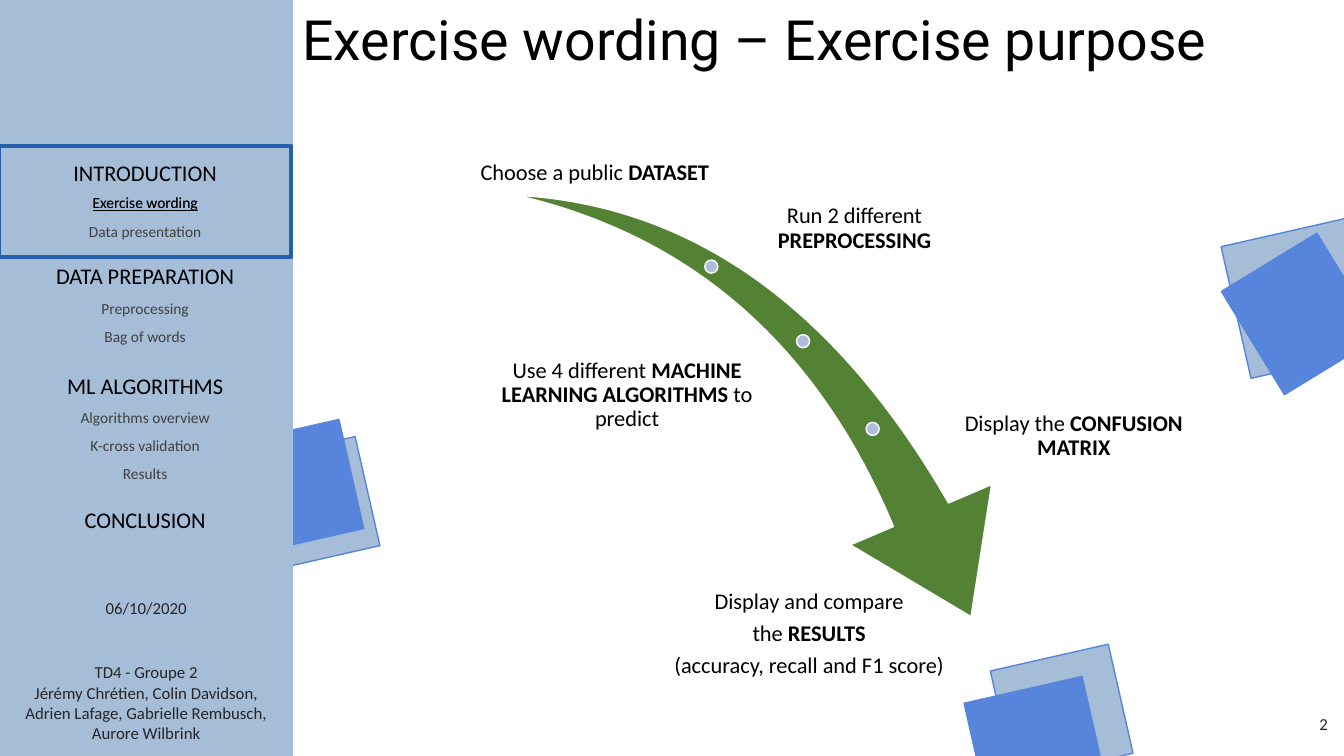
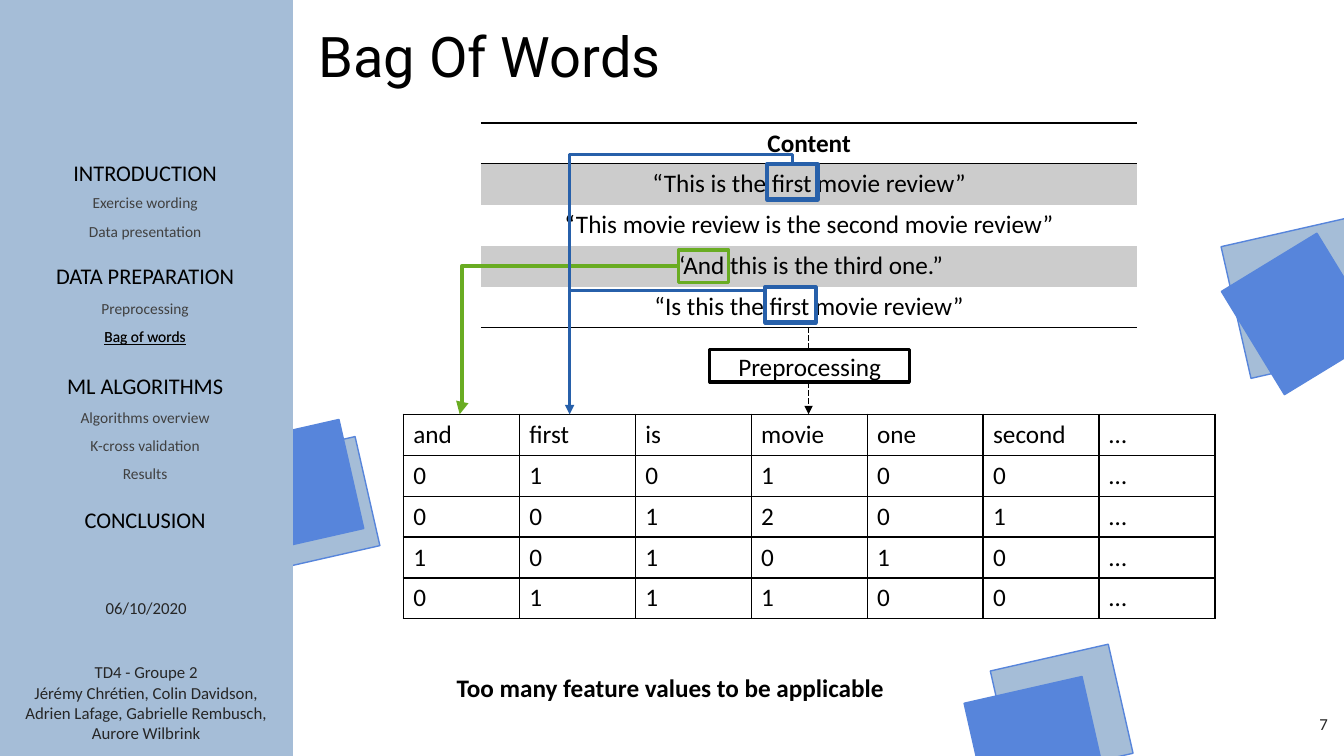
from dataclasses import dataclass

from lxml.etree import SubElement
from pptx import Presentation
from pptx.dml.color import RGBColor
from pptx.enum.dml import MSO_LINE
from pptx.enum.shapes import MSO_CONNECTOR, MSO_SHAPE
from pptx.enum.text import MSO_ANCHOR, MSO_AUTO_SIZE, PP_ALIGN
from pptx.oxml.ns import qn
from pptx.util import Emu, Inches, Pt

CELL = Inches(0.1)
TOP, LEFT = 0, 1


@dataclass(frozen=True)
class Theme:
    """Colours, fonts and type sizes of the deck."""
    black: RGBColor = RGBColor.from_string("000000")
    white: RGBColor = RGBColor.from_string("FFFFFF")
    footer_ink: RGBColor = RGBColor.from_string("262626")
    item_ink: RGBColor = RGBColor.from_string("404040")
    pale: RGBColor = RGBColor.from_string("A5BDD7")
    bright: RGBColor = RGBColor.from_string("5785DB")
    focus: RGBColor = RGBColor.from_string("2760AA")
    swoosh: RGBColor = RGBColor.from_string("548235")
    dot: RGBColor = RGBColor.from_string("B0BCDE")
    lime: RGBColor = RGBColor.from_string("69AC22")
    stripe: RGBColor = RGBColor.from_string("CCCCCC")
    title_font: str = "Roboto"
    text_font: str = "Calibri"
    title: float = 40
    long_title: float = 39.6
    body: float = 18
    section: float = 16
    footer: float = 12
    item: float = 11


THEME = Theme()


@dataclass(frozen=True)
class Box:
    """Region measured in grid columns and rows."""
    col: float
    row: float
    cols: float
    rows: float

    def sub(self, col, row, cols, rows):
        """Return a region placed relative to this one."""
        return Box(self.col + col, self.row + row, cols, rows)

    def point(self, col, row):
        """Return a slide position relative to this region."""
        return Emu(round((self.col + col) * CELL)), Emu(round((self.row + row) * CELL))

    @property
    def frame(self):
        """Return left, top, width and height as lengths."""
        return (*self.point(0, 0), Emu(round(self.cols * CELL)), Emu(round(self.rows * CELL)))


SIDEBAR = Box(0, 0, 29, 75)
SWOOSH = Box(46.5, 8.8, 73.2, 59.3)
WORD_BAG = Box(40, 12.2, 80.5, 58)

SQUARES = [
    (99.3, 65.1, 12, 11.1, 347.2, THEME.pale),
    (122.4, 22.6, 15.4, 13.4, 347.2, THEME.pale),
    (24.6, 44.5, 12, 11.1, 347.2, THEME.pale),
    (23, 42.8, 12, 11.1, 347.2, THEME.bright),
    (123, 25.6, 12, 11.1, 58.6, THEME.bright),
    (96.7, 68.3, 12, 11.1, 347.2, THEME.bright),
]
OUTLINE = [
    ("INTRODUCTION", 15.3, 18.7, ["Exercise wording", "Data presentation"]),
    ("DATA PREPARATION", 25.5, 29.2, ["Preprocessing", "Bag of words"]),
    ("ML ALGORITHMS", 36.4, 40, ["Algorithms overview", "K-cross validation", "Results"]),
    ("CONCLUSION", 49.7, 53.4, []),
]
ITEM_ROWS = {
    item: first_row + 2.8 * index
    for _, _, first_row, items in OUTLINE
    for index, item in enumerate(items)
}
AUTHORS = [
    "TD4 - Groupe 2",
    "Jérémy Chrétien, Colin Davidson, Adrien Lafage, Gabrielle Rembusch, Aurore Wilbrink",
]
STEPS = [
    ((0, 0, 25, 9.8), MSO_ANCHOR.BOTTOM, ["Choose a public *DATASET*"]),
    ((24.5, 9, 27.5, 9.8), MSO_ANCHOR.MIDDLE, ["Run 2 different *PREPROCESSING*"]),
    ((1.2, 25.5, 29, 9.8), MSO_ANCHOR.MIDDLE,
     ["Use 4 different *MACHINE LEARNING ALGORITHMS* to predict"]),
    ((46.8, 29.6, 26.4, 9.8), MSO_ANCHOR.MIDDLE, ["Display the *CONFUSION MATRIX*"]),
    ((16.9, 49.5, 33.7, 9.8), MSO_ANCHOR.TOP,
     ["Display and compare", "the *RESULTS*", "(accuracy, recall and F1 score)"]),
]
REVIEWS = [
    ["Content"],
    ["“This is the first movie review”"],
    ["“This movie review is the second movie review”"],
    ["“And this is the third one.”"],
    ["“Is this the first movie review”"],
]
WORD_COUNTS = [
    line.split()
    for line in (
        "and first is movie one second …",
        "0 1 0 1 0 0 …",
        "0 0 1 2 0 1 …",
        "1 0 1 0 1 0 …",
        "0 1 1 1 0 0 …",
    )
]


def assign(target, **values):
    """Set several attributes on one object."""
    for key, value in values.items():
        setattr(target, key, value)


def write(text_frame, lines, size, color=THEME.black, font=THEME.text_font,
          align=PP_ALIGN.CENTER, underline=None, spacing=None, frame_format=None):
    """Fill a text frame; words between asterisks are bold."""
    assign(text_frame, word_wrap=True, auto_size=MSO_AUTO_SIZE.NONE, **(frame_format or {}))
    for index, line in enumerate(lines):
        paragraph = text_frame.add_paragraph() if index else text_frame.paragraphs[0]
        assign(paragraph, alignment=align, **(spacing or {}))
        for part, words in enumerate(line.split("*")):
            if words:
                run = paragraph.add_run()
                run.text = words
                assign(run.font, size=Pt(size), name=font, bold=part % 2 == 1, underline=underline)
                run.font.color.rgb = color


def label(slide, box, lines, size, **options):
    """Add a text box in the given region."""
    write(slide.shapes.add_textbox(*box.frame).text_frame, lines, size, **options)


def block(slide, kind, box, fill=None, line=THEME.white, width=1, rotation=0):
    """Add a flat preset shape in the given region."""
    shape = slide.shapes.add_shape(kind, *box.frame)
    shape.shadow.inherit = False
    shape.rotation = rotation
    if fill is None:
        shape.fill.background()
    else:
        shape.fill.solid()
        shape.fill.fore_color.rgb = fill
    shape.line.color.rgb = line
    shape.line.width = Pt(width)
    return shape


def link(slide, kind, start, end, color, width, arrow=True, dash=None):
    """Add a connector without shadow, with an optional arrowhead."""
    connector = slide.shapes.add_connector(kind, *start, *end)
    connector.line.color.rgb = color
    assign(connector.line, width=Pt(width), dash_style=dash)
    properties = connector.element.spPr
    if arrow:
        SubElement(properties.find(qn("a:ln")), qn("a:tailEnd"), type="triangle")
    SubElement(properties, qn("a:effectLst"))
    return connector


def bend(connector, share):
    """Set where an elbow connector turns."""
    guides = connector.element.spPr.find(".//" + qn("a:avLst"))
    SubElement(guides, qn("a:gd"), name="adj1", fmla=f"val {round(share * 100000)}")


def turned_elbow(slide, box, source, start, end, color, width, share):
    """Join an elbow that leaves upwards from the top of a frame."""
    middle_col, middle_row = (start[0] + end[0]) / 2, (start[1] + end[1]) / 2
    half_cols, half_rows = abs(end[1] - start[1]) / 2, abs(end[0] - start[0]) / 2
    near = box.point(middle_col + half_cols, middle_row + half_rows)
    far = box.point(middle_col - half_cols, middle_row - half_rows)
    connector = link(slide, MSO_CONNECTOR.ELBOW, near, far, color, width)
    connector.begin_connect(source, TOP)
    assign(connector, begin_x=near[0], begin_y=near[1])
    connector.element.spPr.find(qn("a:xfrm")).set("rot", str(270 * 60000))
    bend(connector, share)


def grid(slide, box, rows, align, sides, striped=False, header=False):
    """Add a table; sides gives the bordered edges of each row index."""
    frame = slide.shapes.add_table(len(rows), len(rows[0]), *box.frame)
    table = frame.table
    assign(table, first_row=False, horz_banding=False)
    for index, (row, words) in enumerate(zip(table.rows, rows)):
        for cell, word in zip(row.cells, words):
            write(cell.text_frame, [f"*{word}*" if header and index == 0 else word],
                  THEME.body, align=align)
            if striped and index % 2:
                cell.fill.solid()
                cell.fill.fore_color.rgb = THEME.stripe
            else:
                cell.fill.background()
    for position, properties in enumerate(frame.element.iter(qn("a:tcPr"))):
        bordered = sides(position // len(rows[0]))
        for order, side in enumerate("LRTB"):
            edge = SubElement(properties, qn(f"a:ln{side}"), w=str(Pt(1)))
            if side in bordered:
                ink = SubElement(edge, qn("a:solidFill"))
                SubElement(ink, qn("a:srgbClr"), val=str(THEME.black))
            else:
                SubElement(edge, qn("a:noFill"))
            properties.insert(order, edge)


def sidebar(slide, box):
    """Draw the scattered squares and the outline band."""
    for *place, rotation, fill in SQUARES:
        block(slide, MSO_SHAPE.RECTANGLE, box.sub(*place), fill, THEME.bright, rotation=rotation)
    block(slide, MSO_SHAPE.RECTANGLE, box, THEME.pale, THEME.pale)
    label(slide, box.sub(0, 65.2, box.cols, 9.1), AUTHORS, THEME.footer, color=THEME.footer_ink)
    for section, row, _, _ in OUTLINE:
        label(slide, box.sub(-0.1, row, box.cols, 3.7), [section], THEME.section)
    for item, row in ITEM_ROWS.items():
        label(slide, box.sub(-0.1, row, box.cols, 2.9), [item], THEME.item, color=THEME.item_ink)


def share_on_layout(slide, layout):
    """Move the drawn shapes from a slide to its layout."""
    drawn = [shape for shape in slide.shapes if not shape.is_placeholder]
    for number, shape in enumerate(drawn, start=100):
        next(shape.element.iter(qn("p:cNvPr"))).set("id", str(number))
        layout.shapes.element.append(shape.element)


def heading(slide, box, words, size):
    """Place and format the title placeholder."""
    title = slide.shapes.title
    assign(title, **dict(zip(("left", "top", "width", "height"), box.frame)))
    write(title.text_frame, [words], size, font=THEME.title_font, align=PP_ALIGN.LEFT,
          spacing={"line_spacing": 0.9}, frame_format={"vertical_anchor": MSO_ANCHOR.MIDDLE})


def footers(slide, box, number, current):
    """Add the date, the page number and the current outline item."""
    footer_style = {"color": THEME.footer_ink,
                    "frame_format": {"vertical_anchor": MSO_ANCHOR.MIDDLE}}
    label(slide, box.sub(0, 58.3, box.cols, 4), ["06/10/2020"], THEME.footer, **footer_style)
    label(slide, box.sub(102.7, 69.8, 30, 4), [number], THEME.footer,
          align=PP_ALIGN.RIGHT, **footer_style)
    label(slide, box.sub(-0.1, ITEM_ROWS[current], box.cols, 2.9), [current], THEME.item,
          underline=True)


def purpose_steps(slide, box):
    """Draw the swoosh arrow with its dots and steps."""
    arrow = block(slide, MSO_SHAPE.SWOOSH_ARROW, box.sub(3.5, 12.2, 53, 36.9),
                  THEME.swoosh, rotation=73.3)
    arrow.adjustments[0], arrow.adjustments[1] = 0.16, 0.31
    for col, row in ((23.4, 17), (32.5, 24.4), (39.4, 33.1)):
        block(slide, MSO_SHAPE.OVAL, box.sub(col, row, 1.3, 1.3), THEME.dot)
    margins = {f"margin_{side}": Inches(0.02) for side in ("left", "top", "right", "bottom")}
    for place, anchor, lines in STEPS:
        label(slide, box.sub(*place), lines, THEME.section,
              spacing={"line_spacing": 0.9, "space_after": Pt(0.35 * THEME.section)},
              frame_format={"vertical_anchor": anchor, **margins})


def word_bag(slide, box):
    """Draw the reviews, the word counts and the links between them."""
    counts_row = 28.9
    link(slide, MSO_CONNECTOR.STRAIGHT, box.point(40.2, 20.3), box.point(40.2, counts_row),
         THEME.black, 0.5, dash=MSO_LINE.LONG_DASH)
    label(slide, box.sub(4.3, 54, 72, 4), ["*Too many feature values to be applicable*"],
          THEME.body, align=PP_ALIGN.LEFT)
    grid(slide, box.sub(7.7, 0, 65.1, 20.3), REVIEWS, PP_ALIGN.CENTER,
         lambda row: {0: "TB", 1: "T", 4: "B"}.get(row, ""), striped=True, header=True)
    grid(slide, box.sub(0, counts_row, box.cols, 20.3), WORD_COUNTS, PP_ALIGN.LEFT,
         lambda row: "LRTB")
    stage = block(slide, MSO_SHAPE.RECTANGLE, box.sub(30.4, 22.5, 19.8, 3.2),
                  THEME.white, THEME.black, 2.25)
    write(stage.text_frame, ["Preprocessing"], THEME.body,
          frame_format={"vertical_anchor": MSO_ANCHOR.MIDDLE})
    and_frame = block(slide, MSO_SHAPE.RECTANGLE, box.sub(27.3, 12.6, 5, 3.2),
                      line=THEME.lime, width=2.25)
    first_frame, _ = [
        block(slide, MSO_SHAPE.RECTANGLE, box.sub(*place, 5, 3.5), line=THEME.focus, width=3)
        for place in ((36.1, 4.1), (35.9, 16.3))
    ]
    and_link = link(slide, MSO_CONNECTOR.ELBOW, box.point(27.3, 14.2),
                    box.point(5.6, counts_row), THEME.lime, 3)
    and_link.begin_connect(and_frame, LEFT)
    bend(and_link, 0.99)
    turned_elbow(slide, box, first_frame, (38.6, 4.1), (16.5, counts_row),
                 THEME.focus, 2.25, -0.04)
    link(slide, MSO_CONNECTOR.STRAIGHT, box.point(36, 16.6), box.point(16.6, 16.6),
         THEME.focus, 2.25, arrow=False)


def main():
    """Build and save the deck."""
    deck = Presentation()
    assign(deck, slide_width=Inches(13.33), slide_height=Inches(7.5))
    layout = deck.slide_layouts[5]
    purpose = deck.slides.add_slide(layout)
    sidebar(purpose, SIDEBAR)
    share_on_layout(purpose, layout)

    heading(purpose, Box(29, 1.4, 102.6, 5.7), "Exercise wording – Exercise purpose",
            THEME.long_title)
    block(purpose, MSO_SHAPE.RECTANGLE, SIDEBAR.sub(-0.1, 14.5, 29, 11),
          line=THEME.focus, width=3)
    footers(purpose, SIDEBAR, "2", "Exercise wording")
    purpose_steps(purpose, SWOOSH)

    bag = deck.slides.add_slide(layout)
    heading(bag, Box(30.6, 3, 76.3, 5.7), "Bag Of Words", THEME.title)
    footers(bag, SIDEBAR, "7", "Bag of words")
    word_bag(bag, WORD_BAG)
    deck.save("out.pptx")


if __name__ == "__main__":
    main()
